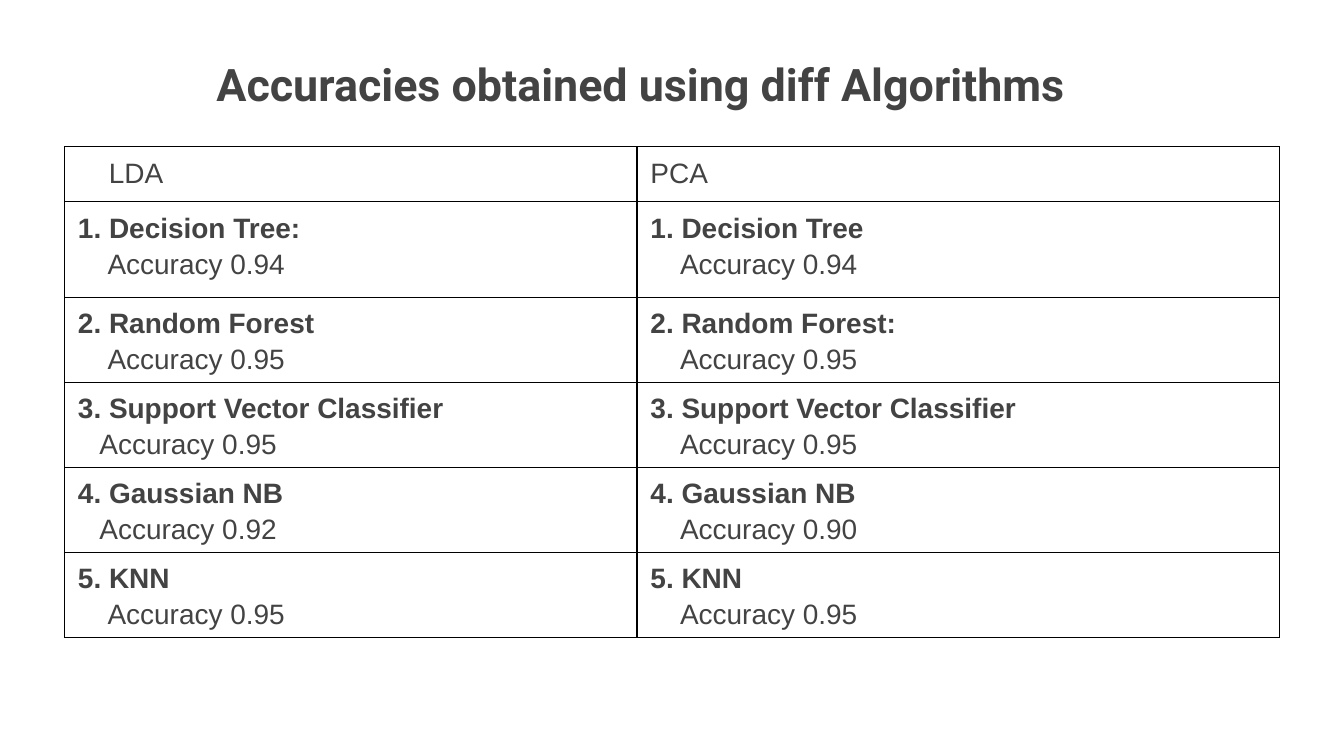
from dataclasses import dataclass

from lxml import etree
from pptx import Presentation
from pptx.dml.color import RGBColor
from pptx.enum.text import MSO_ANCHOR, MSO_AUTO_SIZE, PP_ALIGN
from pptx.oxml.ns import qn
from pptx.util import Inches, Pt

LEFT = PP_ALIGN.LEFT
TOP = MSO_ANCHOR.TOP
NO_FIT = MSO_AUTO_SIZE.NONE

WIDTH = 10
HEIGHT = WIDTH * 9 / 16
GREY, BLACK = "434343", "000000"
COL_WIDTHS = [4.26, 4.78]
HEADER_HEIGHT, FIRST_HEIGHT, ROW_HEIGHT = 0.41, 0.71, 0.57
HEADING_INDENT, WIDE_INDENT, NARROW_INDENT = 0.23, 0.22, 0.16


@dataclass
class Result:
    name: str
    accuracy: str
    indent: float = WIDE_INDENT


@dataclass
class Column:
    heading: str
    indent: float
    results: list[Result]


COLUMNS = [
    Column("LDA", HEADING_INDENT, [
        Result("Decision Tree:", "0.94"),
        Result("Random Forest", "0.95"),
        Result("Support Vector Classifier", "0.95", NARROW_INDENT),
        Result("Gaussian NB", "0.92", NARROW_INDENT),
        Result("KNN", "0.95"),
    ]),
    Column("PCA", 0, [
        Result("Decision Tree", "0.94"),
        Result("Random Forest:", "0.95"),
        Result("Support Vector Classifier", "0.95"),
        Result("Gaussian NB", "0.90"),
        Result("KNN", "0.95"),
    ]),
]


def color(value: str) -> RGBColor:
    return RGBColor.from_string(value)


def write(p, text: str, *, size: float = 15, font: str = "Arial", bold: bool = False,
          spacing: float = 1.15, indent: float = 0) -> None:
    p.alignment = LEFT
    p.line_spacing = spacing
    if indent:
        pPr = p._p.get_or_add_pPr()
        pPr.set("marL", str(Inches(indent)))
        pPr.set("indent", "0")
    r = p.add_run()
    r.text = text
    r.font.size = Pt(size)
    r.font.name = font
    r.font.bold = bold
    r.font.color.rgb = color(GREY)


def style_cell(cell) -> None:
    cell.margin_left = cell.margin_right = Inches(0.1)
    cell.margin_top = cell.margin_bottom = Inches(0.05)
    cell.vertical_anchor = TOP
    tcPr = cell._tc.get_or_add_tcPr()
    for side in ("a:lnL", "a:lnR", "a:lnT", "a:lnB"):
        ln = etree.SubElement(tcPr, qn(side), w=str(Pt(0.75)))
        fill = etree.SubElement(ln, qn("a:solidFill"))
        etree.SubElement(fill, qn("a:srgbClr"), val=BLACK)
    cell.fill.background()


def add_title(s, text: str) -> None:
    sp = s.shapes.title
    sp.left, sp.top = Inches(0.151 * WIDTH), Inches(0.057 * HEIGHT)
    sp.width, sp.height = Inches(0.74 * WIDTH), Inches(0.1 * HEIGHT)
    tf = sp.text_frame
    tf.word_wrap = True
    tf.auto_size = NO_FIT
    tf.vertical_anchor = TOP
    tf.margin_left = tf.margin_right = tf.margin_top = tf.margin_bottom = Inches(0.1)
    write(tf.paragraphs[0], text, size=24, font="Roboto", bold=True, spacing=1.0)


def add_results(s, columns: list[Column]) -> None:
    later_rows = len(columns[0].results) - 1
    heights = [HEADER_HEIGHT, FIRST_HEIGHT] + [ROW_HEIGHT] * later_rows
    frame = s.shapes.add_table(
        len(heights), len(columns), Inches(0.048 * WIDTH), Inches(0.194 * HEIGHT),
        Inches(sum(COL_WIDTHS)), Inches(sum(heights)))
    table = frame.table
    table.first_row = table.horz_banding = False
    for row, height in zip(table.rows, heights):
        row.height = Inches(height)
    for col, width in zip(table.columns, COL_WIDTHS):
        col.width = Inches(width)
    for cell in table.iter_cells():
        style_cell(cell)
    for c, column in enumerate(columns):
        heading = table.cell(0, c).text_frame.paragraphs[0]
        write(heading, column.heading, indent=column.indent)
        for n, result in enumerate(column.results, 1):
            tf = table.cell(n, c).text_frame
            write(tf.paragraphs[0], f"{n}. {result.name}", bold=True)
            write(tf.add_paragraph(), f"Accuracy {result.accuracy}", indent=result.indent)


def main() -> None:
    prs = Presentation()
    prs.slide_width, prs.slide_height = Inches(WIDTH), Inches(HEIGHT)
    s = prs.slides.add_slide(prs.slide_layouts[5])
    add_title(s, "Accuracies obtained using diff Algorithms")
    add_results(s, COLUMNS)
    prs.save("out.pptx")


if __name__ == "__main__":
    main()
